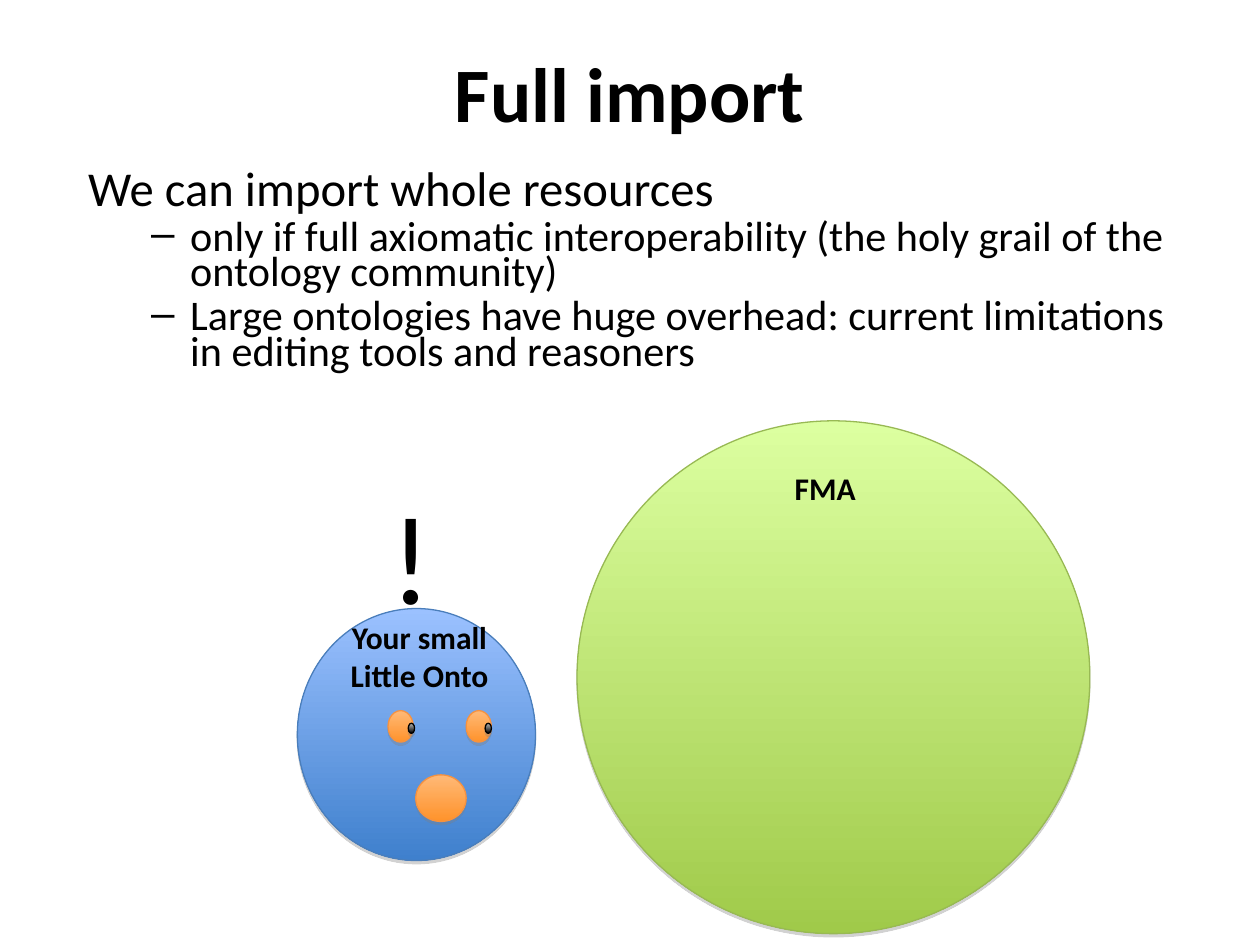
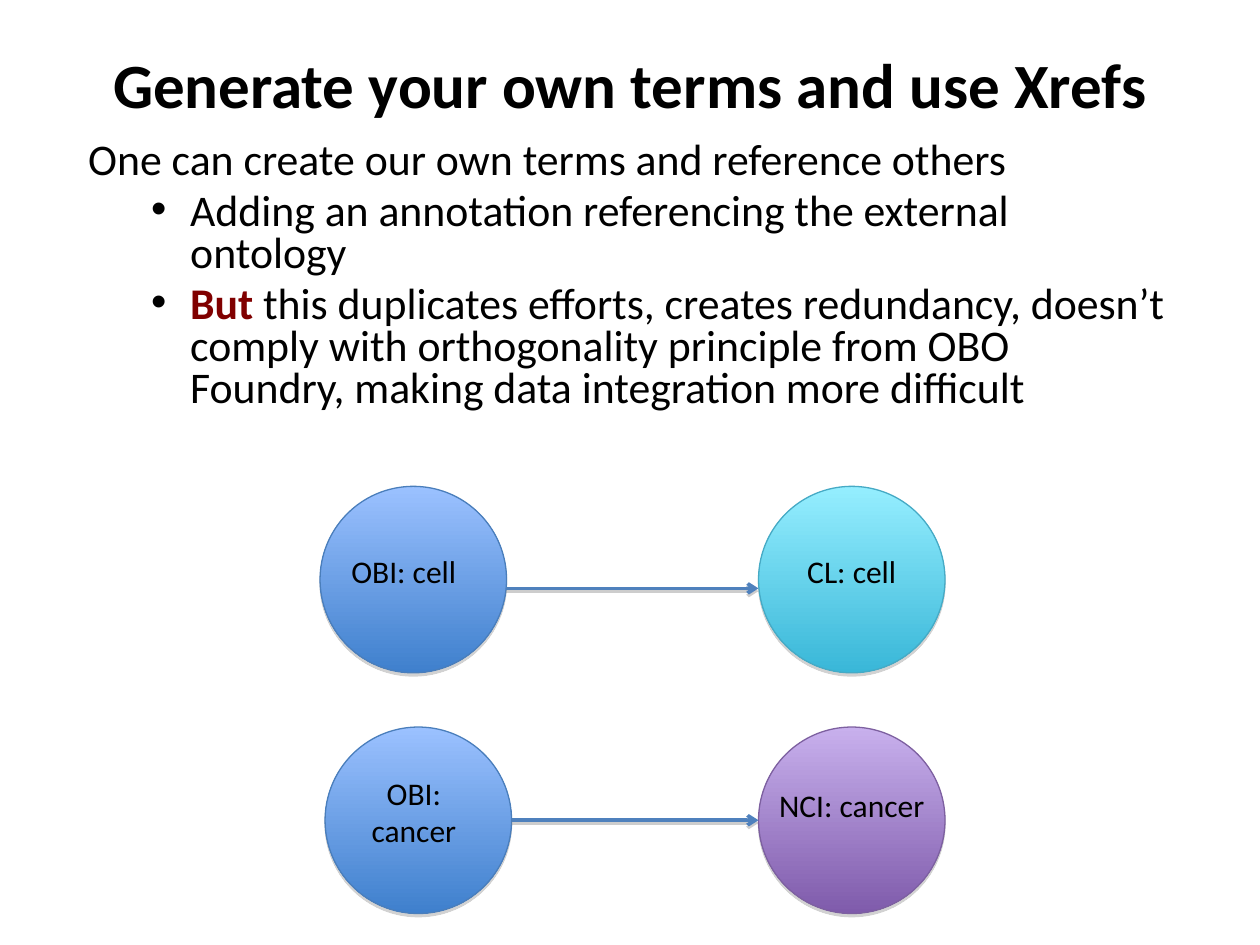
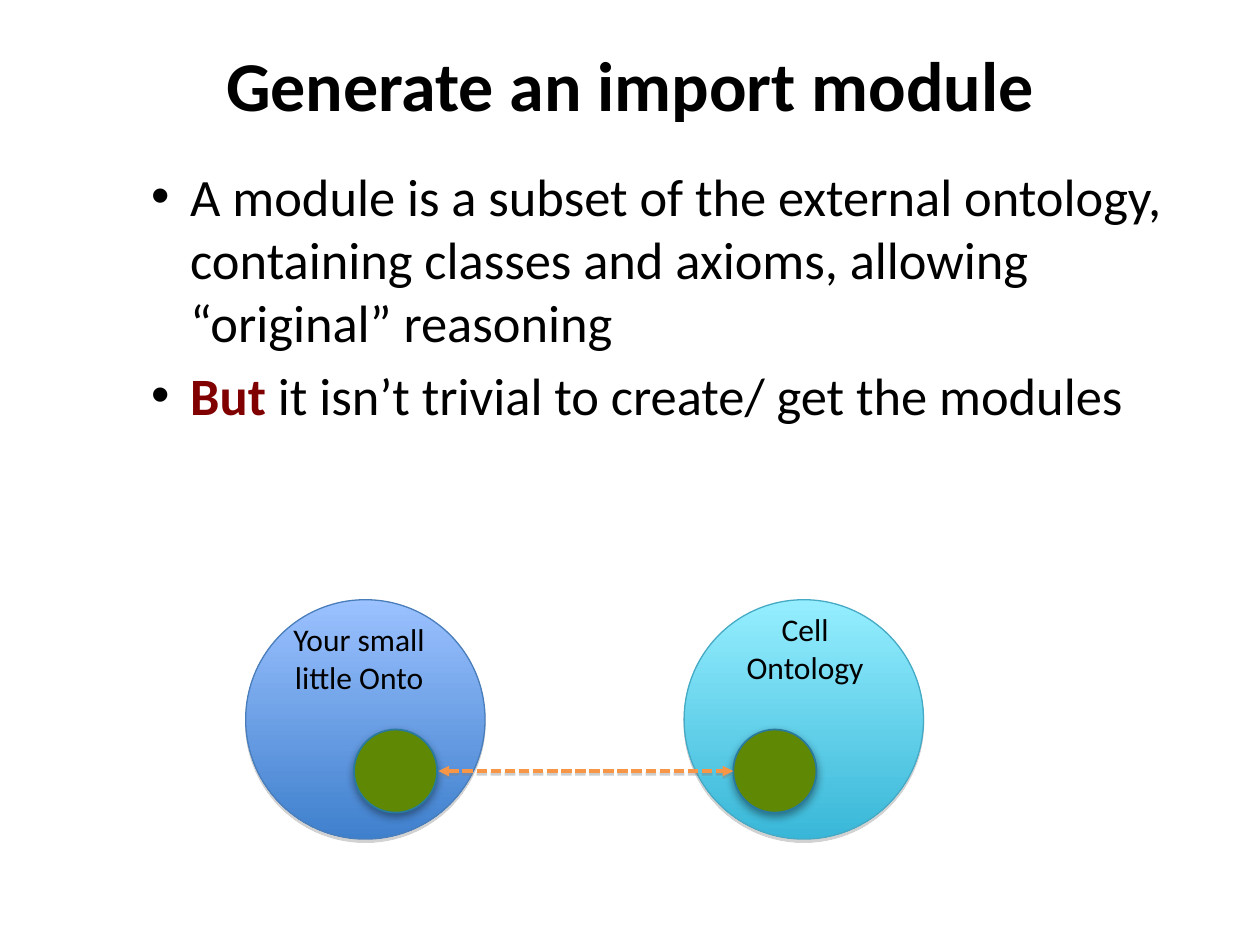
from dataclasses import dataclass

from lxml.etree import SubElement
from pptx import Presentation
from pptx.dml.color import RGBColor
from pptx.enum.dml import MSO_LINE
from pptx.enum.shapes import MSO_CONNECTOR, MSO_SHAPE
from pptx.enum.text import MSO_ANCHOR, MSO_AUTO_SIZE, PP_ALIGN
from pptx.oxml.ns import qn
from pptx.util import Emu, Inches, Pt

FONT = "Calibri"
COLORS = {
    "text": "000000", "warning": "800000", "shadow": "808080",
    "link": "4F81BD", "mapping": "F79646",
}
# Disc styles: top, bottom and outline colour
STYLES = {
    "blue": ("9BC1FF", "3F80CD", "4A7EBB"),
    "green": ("DCFFA0", "A0CA4A", "98B954"),
    "orange": ("FFB977", "FF932B", "F69240"),
    "black": ("BCBCBC", "000000", "000000"),
    "cyan": ("95EEFF", "39B7D8", "46AAC5"),
    "purple": ("C8B0ED", "7F5BAB", "7D60A0"),
    "module": ("5F8804", "5F8804", "287A9E"),
}


@dataclass(frozen=True)
class Shadow:
    color: str
    opacity: int
    blur: float
    distance: float


SOFT = Shadow(COLORS["shadow"], 35, 0, 1.8)
LINE_SHADOW = Shadow(COLORS["shadow"], 38, 0, 1.6)
MODULE_SHADOW = Shadow("000000", 40, 5, 2.1)


@dataclass(frozen=True)
class Disc:
    left: float
    top: float
    width: float
    height: float
    style: str


@dataclass(frozen=True)
class Label:
    left: float
    top: float
    width: float
    height: float
    text: str
    size: float = 18
    bold: bool = False
    align: PP_ALIGN = PP_ALIGN.CENTER


@dataclass(frozen=True)
class Arrow:
    start: float
    end: float
    y: float
    color: str
    head: str
    two_way: bool = False


@dataclass(frozen=True)
class Item:
    text: str
    size: float
    bullet: str = ""
    lead: str = ""


@dataclass(frozen=True)
class Page:
    title: str
    title_size: float
    title_area: tuple[float, float]
    body_area: tuple[float, float]
    line_spacing: float
    items: list[Item]
    discs: list[Disc]
    labels: list[Label]
    arrows: list[Arrow]


def rgb(color: str) -> RGBColor:
    return RGBColor.from_string(color)


def format_font(span, size: float, bold: bool = False, color: str = COLORS["text"]) -> None:
    span.font.name = FONT
    span.font.size = Pt(size)
    span.font.bold = bold
    span.font.color.rgb = rgb(color)


def cast_shadow(properties, shadow: Shadow) -> None:
    """Replace the effects of a shape by a shadow that falls downwards."""
    for old in properties.findall(qn("a:effectLst")):
        properties.remove(old)
    effects = SubElement(properties, qn("a:effectLst"))
    outer = SubElement(effects, qn("a:outerShdw"), blurRad=str(Pt(shadow.blur)),
                       dist=str(Pt(shadow.distance)), dir="5400000", rotWithShape="0")
    tint = SubElement(outer, qn("a:srgbClr"), val=shadow.color)
    SubElement(tint, qn("a:alpha"), val=str(shadow.opacity * 1000))


def place(shape, left: float, top: float, width: float, height: float) -> None:
    shape.left, shape.top = Inches(left), Inches(top)
    shape.width, shape.height = Inches(width), Inches(height)


def write_title(slide, page: Page) -> None:
    title = slide.shapes.title
    top, height = page.title_area
    place(title, 0.6, top, 8.8, height)
    frame = title.text_frame
    frame.text = page.title
    frame.auto_size = MSO_AUTO_SIZE.NONE
    frame.vertical_anchor = MSO_ANCHOR.MIDDLE
    para = frame.paragraphs[0]
    para.alignment = PP_ALIGN.CENTER
    format_font(para.runs[0], page.title_size, bold=True)


def set_bullet(para, bullet: str) -> None:
    properties = para._p.get_or_add_pPr()
    margin, indent = (0.81, -0.31) if bullet else (0.5, -0.5)
    properties.set("marL", str(Inches(margin)))
    properties.set("indent", str(Inches(indent)))
    if not bullet:
        SubElement(properties, qn("a:buNone"))
        return
    tint = SubElement(properties, qn("a:buClr"))
    SubElement(tint, qn("a:srgbClr"), val=COLORS["text"])
    SubElement(properties, qn("a:buFont"), typeface="Arial")
    SubElement(properties, qn("a:buChar"), char=bullet)


def write_body(slide, page: Page) -> None:
    body = slide.placeholders[1]
    top, height = page.body_area
    place(body, 0.6, top, 8.8, height)
    frame = body.text_frame
    frame.auto_size = MSO_AUTO_SIZE.NONE
    for index, item in enumerate(page.items):
        para = frame.add_paragraph() if index else frame.paragraphs[0]
        para.level = 1 if item.bullet else 0
        para.line_spacing = page.line_spacing
        para.space_before = Pt(round(item.size * 0.2, 1))
        set_bullet(para, item.bullet)
        if item.lead:
            lead = para.add_run()
            lead.text = item.lead
            format_font(lead, item.size, bold=True, color=COLORS["warning"])
        span = para.add_run()
        span.text = item.text
        format_font(span, item.size)


def draw_disc(slide, disc: Disc) -> None:
    shape = slide.shapes.add_shape(MSO_SHAPE.OVAL, Inches(disc.left), Inches(disc.top),
                                   Inches(disc.width), Inches(disc.height))
    light, dark, outline = STYLES[disc.style]
    is_module = disc.style == "module"
    if is_module:
        shape.fill.solid()
        shape.fill.fore_color.rgb = rgb(light)
    else:
        shape.fill.gradient()
        shape.fill.gradient_angle = 270
        for stop, color in zip(shape.fill.gradient_stops, (light, dark)):
            stop.color.rgb = rgb(color)
    shape.line.color.rgb = rgb(outline)
    shape.line.width = Pt(1 if is_module else 0.75)
    cast_shadow(shape._element.spPr, MODULE_SHADOW if is_module else SOFT)


def write_label(slide, label: Label) -> None:
    box = slide.shapes.add_textbox(Inches(label.left), Inches(label.top),
                                   Inches(label.width), Inches(label.height))
    frame = box.text_frame
    frame.word_wrap = True
    frame.auto_size = MSO_AUTO_SIZE.SHAPE_TO_FIT_TEXT
    frame.text = label.text
    for para in frame.paragraphs:
        para.alignment = label.align
        format_font(para.runs[0], label.size, label.bold)


def draw_arrow(slide, arrow: Arrow) -> None:
    line = slide.shapes.add_connector(MSO_CONNECTOR.STRAIGHT, Inches(arrow.start),
                                      Inches(arrow.y), Inches(arrow.end), Inches(arrow.y))
    line.line.color.rgb = rgb(arrow.color)
    line.line.width = Pt(2)
    if arrow.two_way:
        line.line.dash_style = MSO_LINE.SQUARE_DOT
    stroke = line.line._get_or_add_ln()
    if arrow.two_way:
        SubElement(stroke, qn("a:headEnd"), type=arrow.head)
    SubElement(stroke, qn("a:tailEnd"), type=arrow.head)
    cast_shadow(line._element.spPr, LINE_SHADOW)


def build_page(deck, page: Page) -> None:
    slide = deck.slides.add_slide(deck.slide_layouts[1])
    write_title(slide, page)
    write_body(slide, page)
    for disc in page.discs:
        draw_disc(slide, disc)
    for label in page.labels:
        write_label(slide, label)
    for arrow in page.arrows:
        draw_arrow(slide, arrow)


# Sizes and columns that repeat within a slide
TERM = 1.48
TERM_ROWS = (3.86, 5.77)
EXTERNAL_LEFT = 6.02
ONTOLOGY = 1.9
MODULE = 0.66

FULL_IMPORT = Page(
    "Full import", 44, (0.12, 1.21), (1.33, 1.8), 0.7,
    items=[
        Item("We can import whole resources", 27.8),
        Item("only if full axiomatic interoperability (the holy grail of the "
             "ontology community)", 24.1, "–"),
        Item("Large ontologies have huge overhead: current limitations in editing "
             "tools and reasoners", 24.1, "–"),
    ],
    discs=[
        Disc(2.36, 4.83, 1.89, 2, "blue"),
        Disc(4.58, 3.34, 4.07, 4.07, "green"),
        Disc(3.3, 6.15, 0.4, 0.37, "orange"),
        # Eyes, then pupils
        *(Disc(left, 5.64, 0.2, 0.25, "orange") for left in (3.08, 3.7)),
        *(Disc(left, 5.74, 0.05, 0.08, "black") for left in (3.24, 3.85)),
    ],
    labels=[
        Label(2.08, 4.86, 2.5, 0.86, "Your small\nLittle Onto", bold=True),
        Label(5.31, 3.67, 2.48, 0.37, "FMA", bold=True),
        Label(3, 3.75, 0.62, 1.31, "!", size=72, align=PP_ALIGN.LEFT),
    ],
    arrows=[],
)

OWN_TERMS = Page(
    "Generate your own terms and use Xrefs", 36, (0.25, 0.83), (1.08, 2.5), 0.8,
    items=[
        Item("One can create our own terms and reference others", 25),
        Item("Adding an annotation referencing the external ontology", 25, "•"),
        Item("this duplicates efforts, creates redundancy, doesn’t comply with "
             "orthogonality principle from OBO Foundry, making data integration "
             "more difficult", 25, "•", lead="But "),
    ],
    discs=[
        Disc(left, top, TERM, TERM, style)
        for top, row in zip(TERM_ROWS, (((2.54, "blue"), (EXTERNAL_LEFT, "cyan")),
                                        ((2.58, "blue"), (EXTERNAL_LEFT, "purple"))))
        for left, style in row
    ],
    labels=[
        Label(2.69, 4.33, 1.25, 0.4, "OBI: cell", align=PP_ALIGN.LEFT),
        Label(2.66, 6.09, 1.25, 0.71, "OBI: cancer"),
        Label(EXTERNAL_LEFT, 4.33, TERM, 0.4, "CL: cell"),
        Label(EXTERNAL_LEFT, 6.19, TERM, 0.71, "NCI: cancer"),
    ],
    arrows=[
        Arrow(start, EXTERNAL_LEFT, y, COLORS["link"], "arrow")
        for start, y in ((4.02, 4.67), (4.06, 6.51))
    ],
)

IMPORT_MODULE = Page(
    "Generate an import module", 40, (0.25, 0.83), (1.25, 2.75), 1.0,
    items=[
        Item("A module is a subset of the external ontology, containing classes and "
             "axioms, allowing “original” reasoning", 30, "•"),
        Item("it isn’t trivial to create/ get the modules", 30, "•", lead="But "),
    ],
    discs=[
        Disc(1.95, 4.76, ONTOLOGY, ONTOLOGY, "blue"),
        Disc(5.43, 4.76, ONTOLOGY, ONTOLOGY, "cyan"),
        *(Disc(left, 5.79, MODULE, MODULE, "module") for left in (2.81, 5.82)),
    ],
    labels=[
        Label(2.11, 4.87, 1.48, 0.71, "Your small little Onto"),
        Label(5.44, 4.79, ONTOLOGY, 0.71, "Cell\nOntology"),
    ],
    arrows=[Arrow(3.48, 5.82, 6.12, COLORS["mapping"], "triangle", two_way=True)],
)


def main() -> None:
    deck = Presentation()
    deck.slide_width, deck.slide_height = Inches(10), Inches(7.5)
    for page in (FULL_IMPORT, OWN_TERMS, IMPORT_MODULE):
        build_page(deck, page)
    deck.save("out.pptx")


if __name__ == "__main__":
    main()
